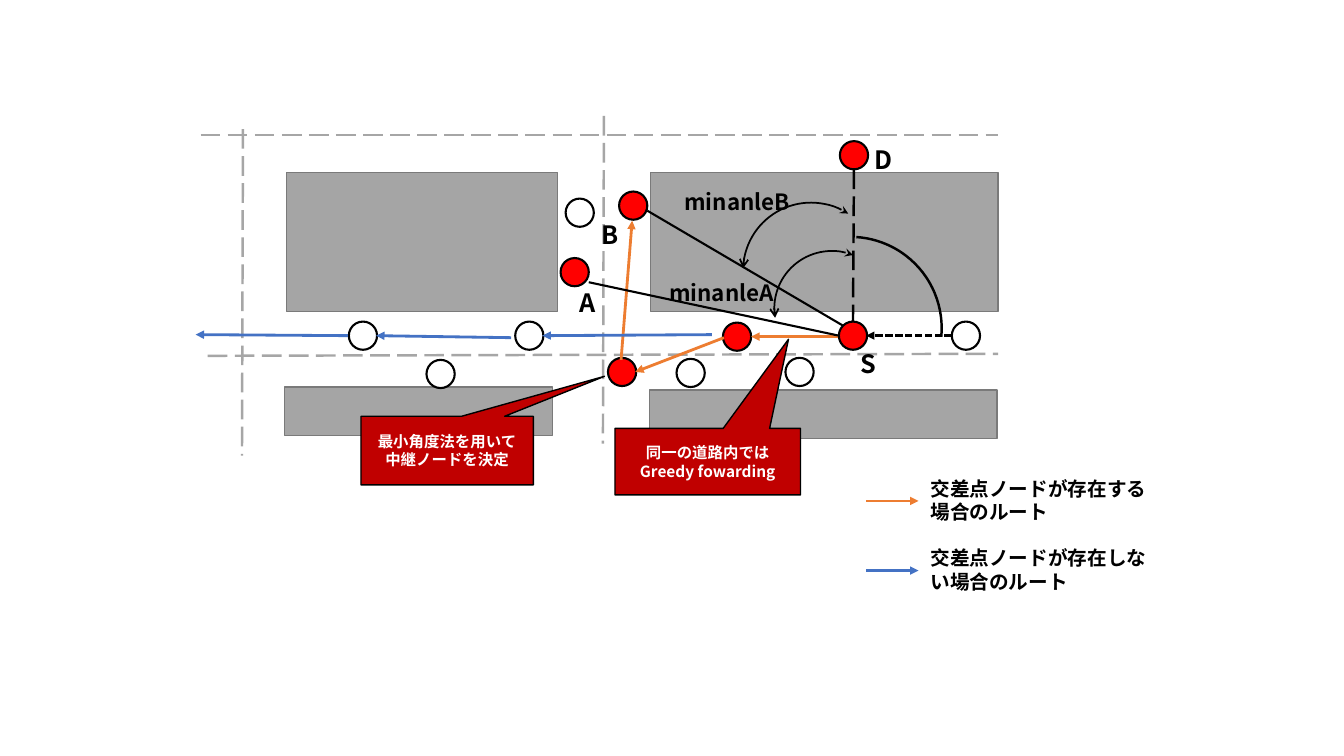
from pptx import Presentation
from pptx.dml.color import RGBColor
from pptx.enum.dml import MSO_LINE as Dash
from pptx.enum.shapes import MSO_CONNECTOR, MSO_SHAPE as Shape
from pptx.enum.text import MSO_ANCHOR, MSO_AUTO_SIZE, PP_ALIGN
from pptx.oxml.ns import qn
from pptx.util import Pt
from lxml.etree import SubElement

PX = 9144  # 100 px to the inch
FONT = "Noto Sans CJK JP"
BLACK = RGBColor(0x00, 0x00, 0x00)
WHITE = RGBColor(0xFF, 0xFF, 0xFF)
RED = RGBColor(0xFF, 0x00, 0x00)
DARK_RED = RGBColor(0xC0, 0x00, 0x00)
ORANGE = RGBColor(0xED, 0x7D, 0x31)
BLUE = RGBColor(0x44, 0x72, 0xC4)
BLOCK_FILL = RGBColor(0xA5, 0xA5, 0xA5)
BLOCK_EDGE = RGBColor(0x7A, 0x7A, 0x7A)
ROAD = RGBColor(0xA6, 0xA6, 0xA6)


class Diagram:
    def __init__(self, slide):
        self.shapes = slide.shapes

    def outline(self, shape, color, width, dash=None, head=None, tail=None):
        shape.line.color.rgb = color
        shape.line.width = Pt(width)
        if dash:
            shape.line.dash_style = dash
        element = shape._element.spPr.find(qn("a:ln"))
        for tag, kind in (("a:headEnd", head), ("a:tailEnd", tail)):
            if kind:
                SubElement(element, qn(tag)).set("type", kind)

    def shape(self, kind, box, fill, adjustments=()):
        shape = self.shapes.add_shape(kind, *(value * PX for value in box))
        shape.shadow.inherit = False
        if fill is None:
            shape.fill.background()
        else:
            shape.fill.solid()
            shape.fill.fore_color.rgb = fill
        for index, value in enumerate(adjustments):
            shape.adjustments[index] = value
        return shape

    def block(self, *box):
        block = self.shape(Shape.RECTANGLE, box, BLOCK_FILL)
        self.outline(block, BLOCK_EDGE, 1)

    def node(self, left, top, fill):
        node = self.shape(Shape.OVAL, (left, top, 28, 28), fill)
        self.outline(node, BLACK, 1.5)

    def arc(self, left, top, size, adjustments, width, rotation=0, **ends):
        arc = self.shape(Shape.ARC, (left, top, size, size), None, adjustments)
        arc.rotation = rotation
        self.outline(arc, BLACK, width, **ends)

    def line(self, points, color, width, **style):
        connector = self.shapes.add_connector(
            MSO_CONNECTOR.STRAIGHT, *(value * PX for value in points))
        self.outline(connector, color, width, **style)
        SubElement(connector._element.spPr, qn("a:effectLst"))

    def add_text(self, frame, text, size, color):
        frame.word_wrap = True
        run = frame.paragraphs[0].add_run()
        run.text = text
        run.font.size = Pt(size)
        run.font.bold = True
        run.font.color.rgb = color
        run.font.name = FONT
        SubElement(run.font._element, qn("a:ea")).set("typeface", FONT)

    def label(self, text, size, *box):
        frame = self.shapes.add_textbox(*(value * PX for value in box)).text_frame
        self.add_text(frame, text, size, BLACK)
        frame.auto_size = MSO_AUTO_SIZE.SHAPE_TO_FIT_TEXT

    def callout(self, text, box, adjustments):
        callout = self.shape(Shape.RECTANGULAR_CALLOUT, box, DARK_RED, adjustments)
        self.outline(callout, BLACK, 1)
        frame = callout.text_frame
        frame.vertical_anchor = MSO_ANCHOR.MIDDLE
        frame.paragraphs[0].alignment = PP_ALIGN.CENTER
        self.add_text(frame, text, 11, WHITE)


def main():
    presentation = Presentation()
    presentation.slide_width = 1333 * PX
    presentation.slide_height = 750 * PX
    diagram = Diagram(presentation.slides.add_slide(presentation.slide_layouts[6]))

    # City blocks
    for box in ((645, 171, 345, 138), (284, 171, 269, 138),
                (644, 387, 345, 48), (282, 384, 266, 48)):
        diagram.block(*box)

    # Road centre lines
    for points in ((206, 353, 990, 351), (199, 134, 990, 134),
                   (599, 115, 598, 440), (241, 128, 240, 452)):
        diagram.line(points, ROAD, 1.75, dash=Dash.LONG_DASH)

    # Nodes: red ones take part in the route
    for left, top in ((833, 140), (832, 319), (614, 190),
                      (717, 320), (556, 256), (603, 355)):
        diagram.node(left, top, RED)
    for left, top in ((561, 197), (944, 319), (779, 355), (671, 356),
                      (511, 319), (423, 357), (346, 319)):
        diagram.node(left, top, WHITE)

    # Node names
    for name, left, top in (("D", 857, 138), ("S", 844, 341),
                            ("A", 565, 280), ("B", 587, 213)):
        diagram.label(name, 18, left, top, 39, 40)

    # Callouts
    diagram.callout("最小角度法を用いて中継ノードを決定",
                    (358, 413, 171, 68), (0.913, -1.084))
    diagram.callout("同一の道路内ではGreedy fowarding",
                    (610, 425, 184, 66), (0.435, -1.839))

    # Dashed lines into S and between D and S
    diagram.line((944, 333, 859, 333), BLACK, 1.75,
                 dash=Dash.SQUARE_DOT, tail="triangle")
    diagram.line((847, 168, 846, 319), BLACK, 1.75, dash=Dash.LONG_DASH)

    # Routes with and without a node at the crossing
    routes = {
        ORANGE: ((831, 334, 745, 334), (718, 335, 630, 369), (616, 357, 627, 219)),
        BLUE: ((706, 332, 538, 333), (507, 335, 373, 333), (345, 333, 194, 332)),
    }
    for color, hops in routes.items():
        for points in hops:
            diagram.line(points, color, 2, tail="triangle")

    # Angles seen from S
    diagram.line((832, 333, 584, 280), BLACK, 1.5)
    diagram.line((836, 323, 642, 209), BLACK, 1.5)
    diagram.arc(753, 235, 181, (164.233, 3.297), 1.75)
    for left, top, size, rotation in ((768, 249, 114, 270), (737, 201, 135, 281.3)):
        diagram.arc(left, top, size, (156.4, 13.024), 1.25, rotation,
                    head="arrow", tail="stealth")
    diagram.label("minanleB", 16, 669, 182, 129, 38)
    diagram.label("minanleA", 16, 654, 272, 129, 38)

    # Legend
    legend = ((ORANGE, "交差点ノードが存在する場合のルート", 468),
              (BLUE, "交差点ノードが存在しない場合のルート", 537))
    for color, text, top in legend:
        diagram.line((859, top + 29, 911, top + 29), color, 2, tail="triangle")
        diagram.label(text, 14, 913, top, 243, 57)

    presentation.save("out.pptx")


if __name__ == "__main__":
    main()
